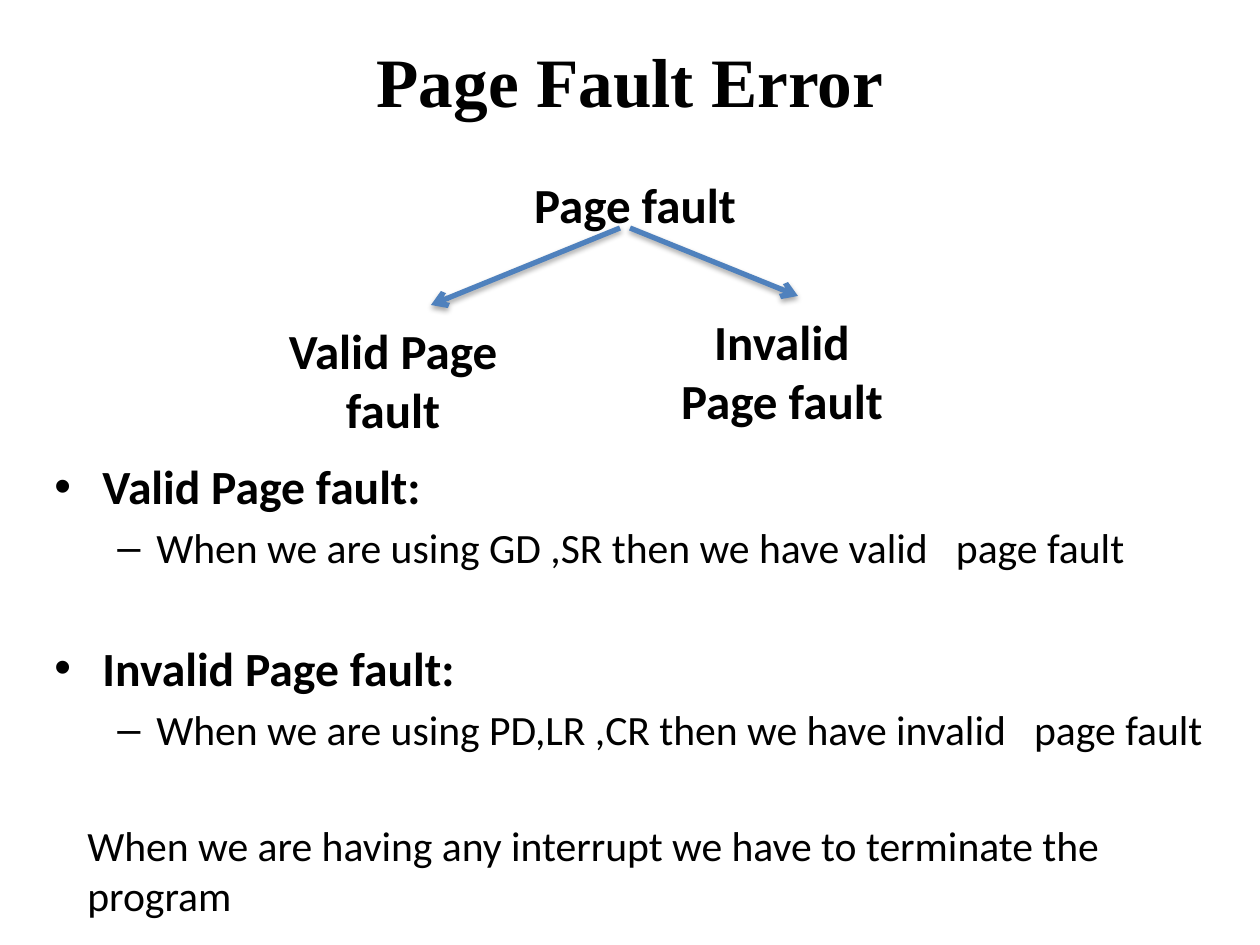
"""Build the Page Fault Error slide: a small fault tree above explanatory bullets."""
from dataclasses import dataclass

from lxml.etree import SubElement
from pptx import Presentation
from pptx.dml.color import RGBColor
from pptx.enum.shapes import MSO_CONNECTOR as Conn
from pptx.enum.text import PP_ALIGN as Align
from pptx.oxml.ns import qn
from pptx.slide import Slide
from pptx.util import Pt

SCALE = 914400 / 126
BLACK = RGBColor(0, 0, 0)
BLUE = RGBColor(0x4F, 0x81, 0xBD)


@dataclass(frozen=True)
class Label:
    text: str
    x: int
    y: int
    w: int
    h: int
    size: float = 28
    font: str = "Calibri"
    inset: bool = True


@dataclass(frozen=True)
class Arrow:
    x1: int
    y1: int
    x2: int
    y2: int


@dataclass(frozen=True)
class Style:
    size: float
    bold: bool
    margin: int
    hang: int
    bullet: str


@dataclass(frozen=True)
class Item:
    text: str
    style: Style
    before: float


HEADING = Style(27.2, True, 48, 48, "•")
DETAIL = Style(23.8, False, 102, 39, "–")
CLOSING = Style(23.8, False, 33, 0, "")

LABELS = [
    Label("Page Fault Error", 63, 38, 1134, 158, 39.6, "Times New Roman", False),
    Label("Page fault", 504, 168, 262, 59),
    Label("Valid Page fault", 262, 314, 262, 107),
    Label("Invalid Page fault", 651, 305, 262, 107),
]
ARROWS = [Arrow(620, 228, 431, 305), Arrow(630, 228, 798, 296)]
ITEMS = [
    Item("Valid Page fault:", HEADING, 2),
    Item("When we are using GD ,SR then we have valid   page fault", DETAIL, 4.5),
    Item("Invalid Page fault:", HEADING, 38),
    Item("When we are using PD,LR ,CR then we have invalid   page fault", DETAIL, 4.5),
    Item("When we are having any interrupt we have to terminate the program", CLOSING, 38),
]


def px(n: int) -> int:
    return round(n * SCALE)


def format_runs(p, size: float, bold: bool, font: str = "Calibri") -> None:
    for r in p.runs:
        r.font.size, r.font.bold, r.font.name = Pt(size), bold, font
        r.font.color.rgb = BLACK


def add_label(s: Slide, label: Label) -> None:
    sp = s.shapes.add_textbox(px(label.x), px(label.y), px(label.w), px(label.h))
    tf = sp.text_frame
    tf.word_wrap = True
    if not label.inset:
        tf.margin_top = tf.margin_bottom = 0
    tf.text = label.text
    p = tf.paragraphs[0]
    p.alignment = Align.CENTER
    format_runs(p, label.size, True, label.font)


def add_arrow(s: Slide, a: Arrow) -> None:
    sp = s.shapes.add_connector(Conn.STRAIGHT, px(a.x1), px(a.y1), px(a.x2), px(a.y2))
    sp.line.color.rgb = BLUE
    sp.line.width = Pt(3)
    SubElement(sp.line._get_or_add_ln(), qn("a:tailEnd"), type="arrow")
    effects = SubElement(sp._element.spPr, qn("a:effectLst"))
    shadow = SubElement(effects, qn("a:outerShdw"), blurRad="40000", dist="23000",
                        dir="5400000", rotWithShape="0")
    color = SubElement(shadow, qn("a:srgbClr"), val=str(BLACK))
    SubElement(color, qn("a:alpha"), val="35000")


def add_items(s: Slide, items: list[Item]) -> None:
    tf = s.shapes.add_textbox(px(42), px(451), px(1176), px(494)).text_frame
    tf.word_wrap = True
    tf.text = "\n".join(item.text for item in items)
    for p, item in zip(tf.paragraphs, items):
        style = item.style
        p.level = 0 if style is HEADING else 1
        p.space_before = Pt(item.before)
        format_runs(p, style.size, style.bold)
        pPr = p._p.get_or_add_pPr()
        pPr.set("marL", str(px(style.margin)))
        pPr.set("indent", str(-px(style.hang)))
        if style.bullet:
            SubElement(pPr, qn("a:buFont"), typeface="Arial")
            SubElement(pPr, qn("a:buChar"), char=style.bullet)
        else:
            SubElement(pPr, qn("a:buNone"))


def main() -> None:
    prs = Presentation()
    prs.slide_width, prs.slide_height = px(1260), px(945)
    s = prs.slides.add_slide(prs.slide_layouts[6])
    add_items(s, ITEMS)
    for arrow in ARROWS:
        add_arrow(s, arrow)
    for label in LABELS:
        add_label(s, label)
    prs.save("out.pptx")


if __name__ == "__main__":
    main()
